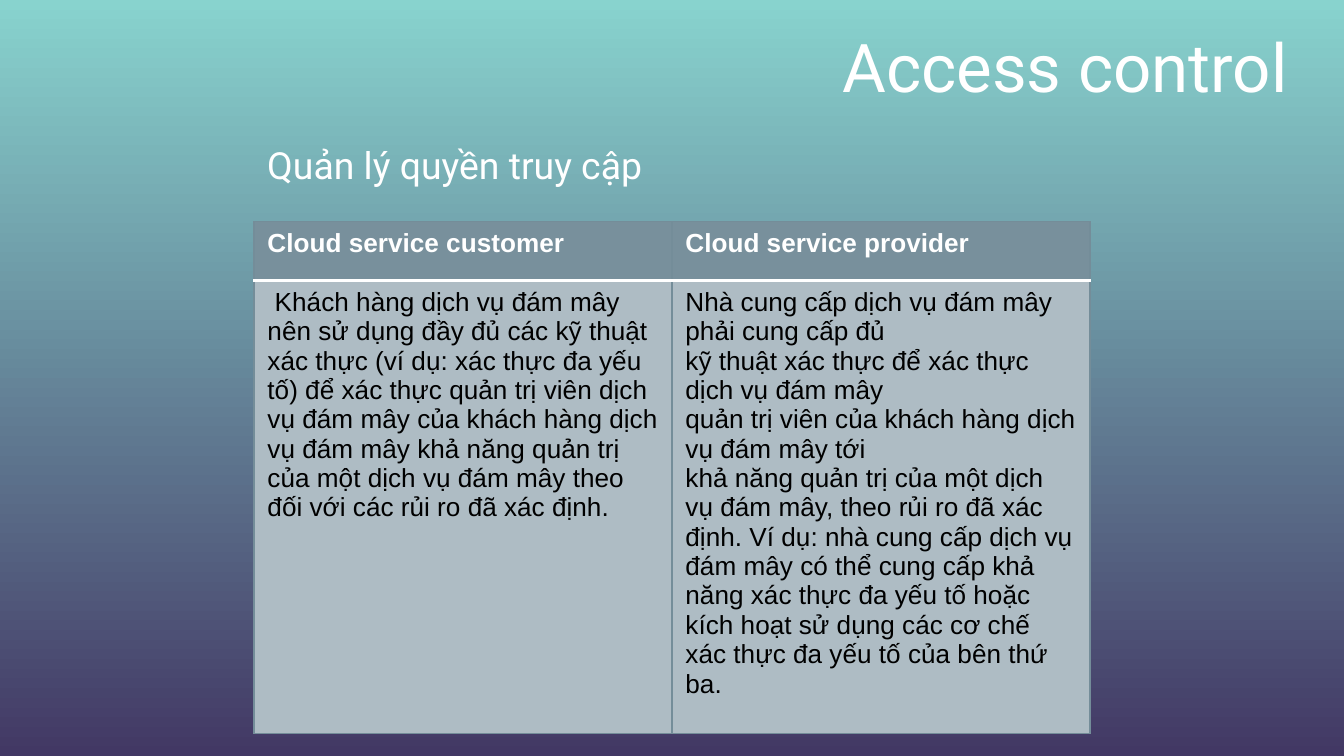
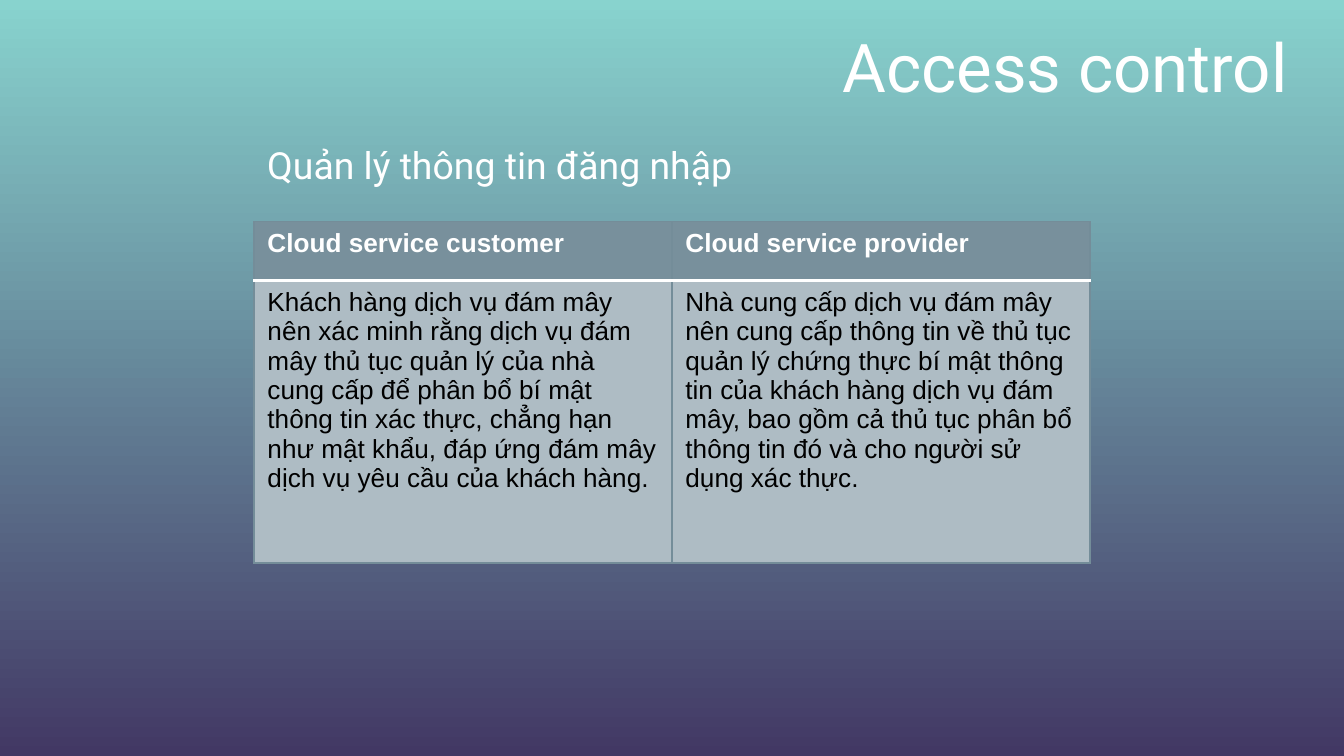
from lxml import etree
from pptx import Presentation
from pptx.dml.color import RGBColor
from pptx.enum.text import MSO_ANCHOR, MSO_AUTO_SIZE, PP_ALIGN
from pptx.oxml.ns import qn
from pptx.util import Inches, Pt

LEFT, RIGHT = PP_ALIGN.LEFT, PP_ALIGN.RIGHT
TOP, MIDDLE = MSO_ANCHOR.TOP, MSO_ANCHOR.MIDDLE
FIT_SHAPE = MSO_AUTO_SIZE.SHAPE_TO_FIT_TEXT

WHITE = RGBColor(0xFF, 0xFF, 0xFF)
BLACK = RGBColor(0x00, 0x00, 0x00)
TEAL = RGBColor(0x88, 0xD3, 0xCE)
PURPLE = RGBColor(0x42, 0x38, 0x64)
HEADER_FILL = RGBColor(0x78, 0x90, 0x9C)
BODY_FILL = RGBColor(0xAE, 0xBC, 0xC4)
BORDER = RGBColor(0x74, 0x8D, 0x99)

TITLE = "Access control"
HEADERS = ["Cloud service customer", "Cloud service provider"]
SLIDES = [
    {
        "subtitle": "Quản lý quyền truy cập",
        "table_height": 3.58,
        "customer": [
            " Khách hàng dịch vụ đám mây nên sử dụng đầy đủ các kỹ thuật xác thực "
            "(ví dụ: xác thực đa yếu tố) để xác thực quản trị viên dịch vụ đám mây "
            "của khách hàng dịch vụ đám mây khả năng quản trị của một dịch vụ đám mây "
            "theo đối với các rủi ro đã xác định.",
        ],
        "provider": [
            "Nhà cung cấp dịch vụ đám mây phải cung cấp đủ",
            "kỹ thuật xác thực để xác thực dịch vụ đám mây",
            "quản trị viên của khách hàng dịch vụ đám mây tới",
            "khả năng quản trị của một dịch vụ đám mây, theo rủi ro đã xác định. "
            "Ví dụ: nhà cung cấp dịch vụ đám mây có thể cung cấp khả năng xác thực "
            "đa yếu tố hoặc kích hoạt sử dụng các cơ chế xác thực đa yếu tố của bên thứ ba.",
        ],
    },
    {
        "subtitle": "Quản lý thông tin đăng nhập",
        "table_height": 2.54,
        "customer": [
            "Khách hàng dịch vụ đám mây nên xác minh rằng dịch vụ đám mây thủ tục "
            "quản lý của nhà cung cấp để phân bổ bí mật thông tin xác thực, chẳng hạn "
            "như mật khẩu, đáp ứng đám mây dịch vụ yêu cầu của khách hàng.",
        ],
        "provider": [
            "Nhà cung cấp dịch vụ đám mây nên cung cấp thông tin về thủ tục quản lý "
            "chứng thực bí mật thông tin của khách hàng dịch vụ đám mây, bao gồm cả "
            "thủ tục phân bổ thông tin đó và cho người sử dụng xác thực.",
        ],
    },
]

TABLE_LEFT, TABLE_TOP = 1.89, 1.65
COLUMN_WIDTH = 3.11
HEADER_HEIGHT = 0.44


def write_text(frame, paragraphs, font="Roboto", size=14, color=WHITE, bold=False, align=LEFT):
    for index, text in enumerate(paragraphs):
        paragraph = frame.paragraphs[0] if index == 0 else frame.add_paragraph()
        paragraph.alignment = align
        run = paragraph.add_run()
        run.text = text
        run.font.name = font
        run.font.size = Pt(size)
        run.font.bold = bold
        run.font.color.rgb = color


def add_text(slide, text, box, anchor=TOP, inset=0.05, **text_format):
    frame = slide.shapes.add_textbox(*map(Inches, box)).text_frame
    frame.word_wrap = True
    frame.vertical_anchor = anchor
    frame.margin_top = frame.margin_bottom = Inches(inset)
    write_text(frame, [text], **text_format)
    return frame


def set_borders(cell, **edges):
    properties = cell._tc.get_or_add_tcPr()
    for edge in "LRTB":
        color, width = edges.get(edge, (BORDER, 0.75))
        line = etree.SubElement(properties, qn("a:ln" + edge), w=str(Pt(width)))
        fill = etree.SubElement(line, qn("a:solidFill"))
        etree.SubElement(fill, qn("a:srgbClr"), val=str(color))


def add_comparison(slide, body, height):
    table = slide.shapes.add_table(
        2, len(HEADERS), Inches(TABLE_LEFT), Inches(TABLE_TOP),
        Inches(COLUMN_WIDTH * len(HEADERS)), Inches(height),
    ).table
    table.horz_banding = False
    for row, row_height in zip(table.rows, (HEADER_HEIGHT, height - HEADER_HEIGHT)):
        row.height = Inches(row_height)
    divider = (WHITE, 2)
    for index, (header, paragraphs) in enumerate(zip(HEADERS, body)):
        table.columns[index].width = Inches(COLUMN_WIDTH)
        parts = [
            ([header], HEADER_FILL, WHITE, True, {"B": divider}),
            (paragraphs, BODY_FILL, BLACK, False, {"T": divider}),
        ]
        for row, (texts, fill, color, bold, edges) in enumerate(parts):
            cell = table.cell(row, index)
            set_borders(cell, **edges)
            cell.fill.solid()
            cell.fill.fore_color.rgb = fill
            write_text(cell.text_frame, texts, font="Arial", color=color, bold=bold)


def set_background(slide):
    fill = slide.background.fill
    fill.gradient()
    fill.gradient_angle = 270
    for stop, color, position in zip(fill.gradient_stops, (TEAL, PURPLE), (0, 1)):
        stop.color.rgb = color
        stop.position = position


def main():
    presentation = Presentation()
    presentation.slide_width = Inches(10)
    presentation.slide_height = presentation.slide_width * 9 // 16
    for content in SLIDES:
        slide = presentation.slides.add_slide(presentation.slide_layouts[6])
        set_background(slide)
        add_text(slide, TITLE, (0.73, 0.12, 8.95, 0.73), anchor=MIDDLE, inset=0.1,
                 size=36, align=RIGHT)
        add_comparison(slide, (content["customer"], content["provider"]), content["table_height"])
        subtitle = add_text(slide, content["subtitle"], (TABLE_LEFT, 1.01, 5.16, 0.44), size=20)
        subtitle.auto_size = FIT_SHAPE
    presentation.save("out.pptx")


if __name__ == "__main__":
    main()
